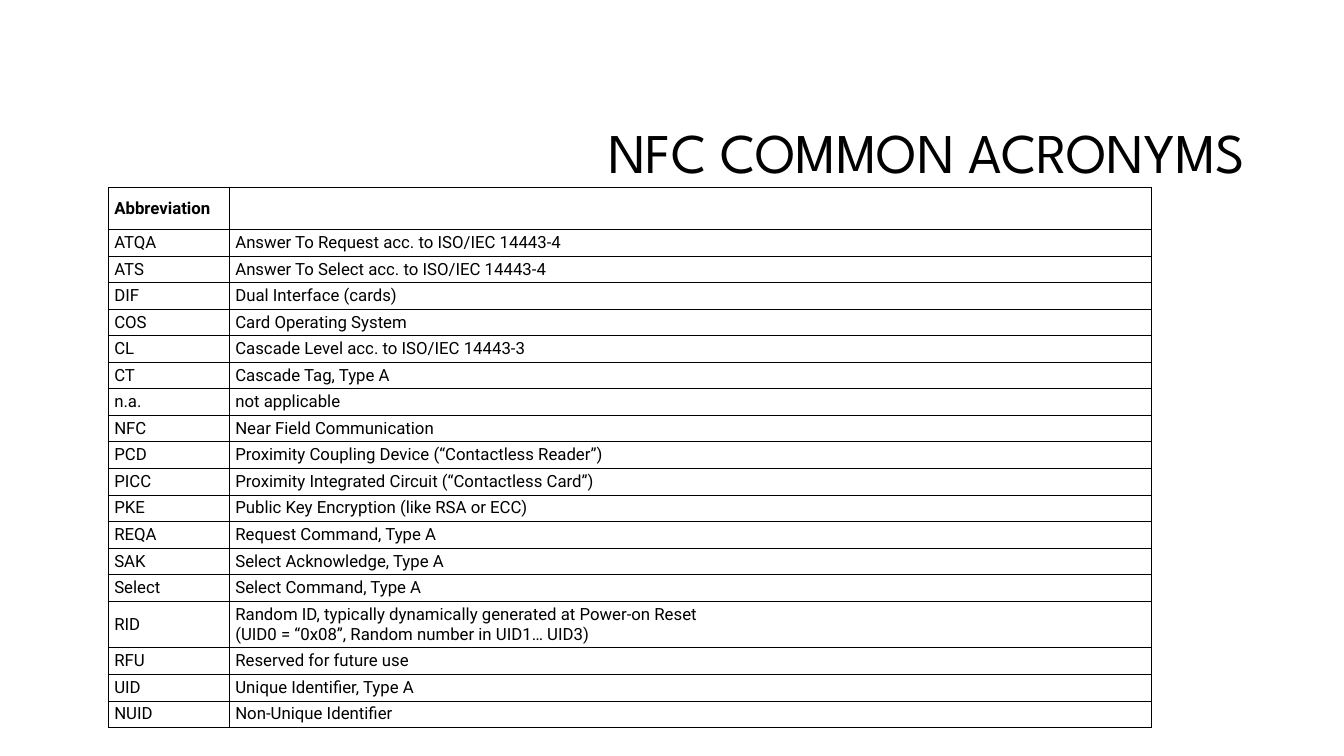
from lxml import etree
from pptx import Presentation
from pptx.dml.color import RGBColor
from pptx.enum.text import MSO_ANCHOR, PP_ALIGN
from pptx.oxml.ns import qn
from pptx.util import Cm, Pt

MIDDLE = MSO_ANCHOR.MIDDLE
LEFT, RIGHT = PP_ALIGN.LEFT, PP_ALIGN.RIGHT
COLORS = {"ink": "000000"}
BORDER_WIDTH = Pt(0.5)
HEADER_HEIGHT, ROW_HEIGHT, LINE_HEIGHT = 1.06, 0.65, 0.5

ACRONYMS = [
    ("Abbreviation", ""),
    ("ATQA", "Answer To Request acc. to ISO/IEC 14443-4"),
    ("ATS", "Answer To Select acc. to ISO/IEC 14443-4"),
    ("DIF", "Dual Interface (cards)"),
    ("COS", "Card Operating System"),
    ("CL", "Cascade Level acc. to ISO/IEC 14443-3"),
    ("CT", "Cascade Tag, Type A"),
    ("n.a.", "not applicable"),
    ("NFC", "Near Field Communication"),
    ("PCD", "Proximity Coupling Device (“Contactless Reader”)"),
    ("PICC", "Proximity Integrated Circuit (“Contactless Card”)"),
    ("PKE", "Public Key Encryption (like RSA or ECC)"),
    ("REQA", "Request Command, Type A"),
    ("SAK", "Select Acknowledge, Type A"),
    ("Select", "Select Command, Type A"),
    ("RID", "Random ID, typically dynamically generated at Power-on Reset\n"
            "(UID0 = “0x08”, Random number in UID1… UID3)"),
    ("RFU", "Reserved for future use"),
    ("UID", "Unique Identifier, Type A"),
    ("NUID", "Non-Unique Identifier"),
]


def write_text(frame, text, font="Roboto", size=12, bold=False, align=LEFT, spacing=1.0):
    """Fill the frame's first paragraph; a newline becomes a line break."""
    paragraph = frame.paragraphs[0]
    paragraph.text = text
    paragraph.alignment = align
    paragraph.line_spacing = spacing
    for run in paragraph.runs:
        run.font.name = font
        run.font.size = Pt(size)
        run.font.bold = bold
        run.font.color.rgb = RGBColor.from_string(COLORS["ink"])


def draw_borders(cell):
    properties = cell._tc.get_or_add_tcPr()
    for side in ("lnL", "lnR", "lnT", "lnB"):
        line = etree.SubElement(properties, qn(f"a:{side}"), w=str(BORDER_WIDTH))
        fill = etree.SubElement(line, qn("a:solidFill"))
        etree.SubElement(fill, qn("a:srgbClr"), val=COLORS["ink"])


prs = Presentation()
prs.slide_width, prs.slide_height = Cm(33.87), Cm(19.05)
slide = prs.slides.add_slide(prs.slide_layouts[6])

title = slide.shapes.add_textbox(Cm(8.05), Cm(2.13), Cm(23.93), Cm(3.58)).text_frame
title.word_wrap = True
title.vertical_anchor = MIDDLE
write_text(title, "NFC COMMON ACRONYMS ", font="League Spartan", size=40,
           align=RIGHT, spacing=0.9)

heights = [HEADER_HEIGHT] + [ROW_HEIGHT + LINE_HEIGHT * meaning.count("\n")
                             for _, meaning in ACRONYMS[1:]]
glossary = slide.shapes.add_table(len(ACRONYMS), 2, Cm(2.72), Cm(4.72),
                                  Cm(26.29), Cm(sum(heights))).table
glossary.first_row = glossary.horz_banding = False
for column, width in zip(glossary.columns, (3.05, 23.24)):
    column.width = Cm(width)

for row_index, (entry, height) in enumerate(zip(ACRONYMS, heights)):
    glossary.rows[row_index].height = Cm(height)
    for column_index, text in enumerate(entry):
        cell = glossary.cell(row_index, column_index)
        cell.margin_left = cell.margin_right = Cm(0.16)
        cell.margin_top = cell.margin_bottom = Cm(0.08)
        cell.vertical_anchor = MIDDLE
        draw_borders(cell)
        cell.fill.background()
        write_text(cell.text_frame, text, bold=row_index == 0)

prs.save("out.pptx")
